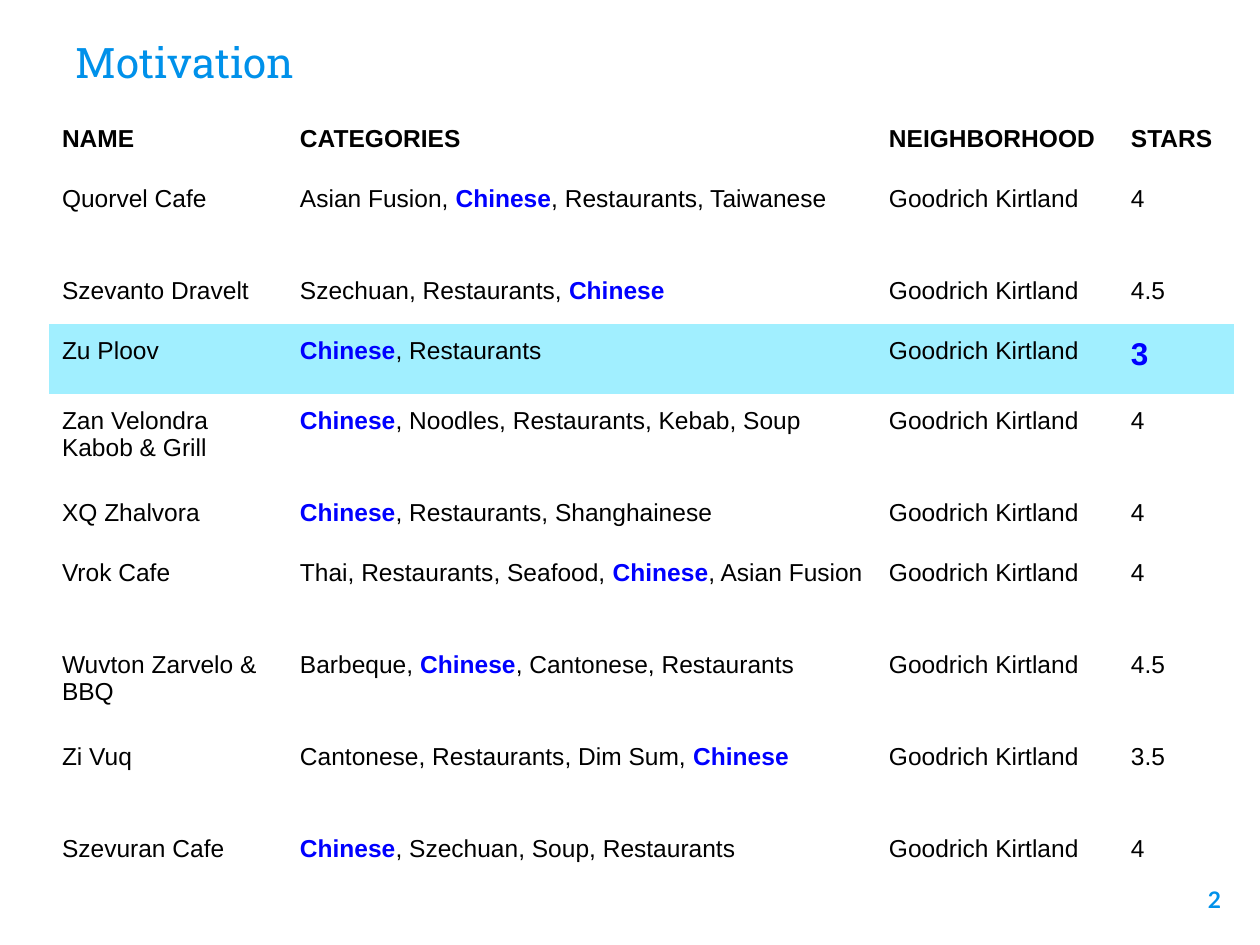
from dataclasses import dataclass

from pptx import Presentation
from pptx.dml.color import RGBColor
from pptx.enum.text import MSO_ANCHOR, MSO_AUTO_SIZE, PP_ALIGN
from pptx.oxml.ns import qn
from pptx.util import Emu, Pt

LEFT, RIGHT = PP_ALIGN.LEFT, PP_ALIGN.RIGHT
TOP, BOTTOM = MSO_ANCHOR.TOP, MSO_ANCHOR.BOTTOM
NO_FIT = MSO_AUTO_SIZE.NONE
TITLE_ONLY = 5
NO_STYLE_NO_GRID = "{2D5ABB26-0587-4C30-8999-92F81FD0307C}"
PX_PER_INCH = 126


@dataclass(frozen=True)
class Theme:
    accent: str = "0091EA"
    ink: str = "000000"
    keyword: str = "0000FF"
    highlight: str = "A1EFFF"
    title_font: str = "Roboto Slab"
    table_font: str = "Arial"
    number_font: str = "Lato"
    title_size: int = 24
    table_size: int = 14
    star_size: int = 18
    number_size: int = 13


def px(n):
    return Emu(round(n * 914400 / PX_PER_INCH))


def add_run(p, text, *, font, size, color, bold=False):
    r = p.add_run()
    r.text = text
    r.font.name = font
    r.font.size = Pt(size)
    r.font.bold = bold
    r.font.color.rgb = RGBColor.from_string(color)


class SlideBuilder:
    def __init__(self, slide, theme):
        self.slide = slide
        self.theme = theme

    def _frame(self, sp, box, anchor, align):
        sp.left, sp.top, sp.width, sp.height = map(px, box)
        tf = sp.text_frame
        tf.word_wrap = True
        tf.auto_size = NO_FIT
        tf.vertical_anchor = anchor
        tf.margin_left = tf.margin_right = px(13)
        tf.margin_top = tf.margin_bottom = px(13)
        p = tf.paragraphs[0]
        p.alignment = align
        return p

    def title(self, text, box):
        t = self.theme
        p = self._frame(self.slide.shapes.title, box, BOTTOM, LEFT)
        add_run(p, text, font=t.title_font, size=t.title_size, color=t.accent)

    def page_number(self, text, box):
        t = self.theme
        sp = self.slide.shapes.add_textbox(*map(px, box))
        p = self._frame(sp, box, TOP, RIGHT)
        add_run(p, text, font=t.number_font, size=t.number_size,
                color=t.accent, bold=True)

    def table(self, rows, left, top, widths, heights, keyword, marked):
        t = self.theme
        frame = self.slide.shapes.add_table(
            len(rows), len(widths), px(left), px(top),
            px(sum(widths)), px(sum(heights)))
        table = frame.table
        table.horz_banding = False
        style = table._tbl.tblPr.find(qn("a:tableStyleId"))
        style.text = NO_STYLE_NO_GRID
        for column, width in zip(table.columns, widths):
            column.width = px(width)
        for i, (values, height) in enumerate(zip(rows, heights)):
            table.rows[i].height = px(height)
            for j, value in enumerate(values):
                cell = table.cell(i, j)
                self._fill_cell(cell, i == marked)
                p = cell.text_frame.paragraphs[0]
                if i == marked and j == len(values) - 1:
                    add_run(p, value, font=t.table_font, size=t.star_size,
                            color=t.keyword, bold=True)
                elif j == 1:
                    self._keyword_text(p, value, keyword, bold=i == 0)
                else:
                    add_run(p, value, font=t.table_font, size=t.table_size,
                            color=t.ink, bold=i == 0)

    def _fill_cell(self, cell, marked):
        cell.margin_left = cell.margin_right = px(13)
        cell.margin_top = cell.margin_bottom = px(13)
        if marked:
            cell.fill.solid()
            cell.fill.fore_color.rgb = RGBColor.from_string(self.theme.highlight)
        else:
            cell.fill.background()

    def _keyword_text(self, p, text, keyword, bold):
        t = self.theme
        for part in text.partition(keyword):
            hit = part == keyword
            if part:
                add_run(p, part, font=t.table_font, size=t.table_size,
                        color=t.keyword if hit else t.ink, bold=hit or bold)


HEADER = ("NAME", "CATEGORIES", "NEIGHBORHOOD", "STARS")
NEIGHBORHOOD = "Goodrich Kirtland"
# Name, categories, stars, row height in px
RESTAURANTS = [
    ("Quorvel Cafe", "Asian Fusion, Chinese, Restaurants, Taiwanese", "4", 92),
    ("Szevanto Dravelt", "Szechuan, Restaurants, Chinese", "4.5", 60),
    ("Zu Ploov", "Chinese, Restaurants", "3", 70),
    ("Zan Velondra Kabob & Grill",
     "Chinese, Noodles, Restaurants, Kebab, Soup", "4", 92),
    ("XQ Zhalvora", "Chinese, Restaurants, Shanghainese", "4", 60),
    ("Vrok Cafe", "Thai, Restaurants, Seafood, Chinese, Asian Fusion", "4", 92),
    ("Wuvton Zarvelo & BBQ",
     "Barbeque, Chinese, Cantonese, Restaurants", "4.5", 92),
    ("Zi Vuq", "Cantonese, Restaurants, Dim Sum, Chinese", "3.5", 92),
    ("Szevuran Cafe", "Chinese, Szechuan, Soup, Restaurants", "4", 60),
]


def main():
    prs = Presentation()
    prs.slide_width, prs.slide_height = px(1260), px(945)
    s = SlideBuilder(prs.slides.add_slide(prs.slide_layouts[TITLE_ONLY]), Theme())

    # Title and page number
    s.title("Motivation", (63, 28, 1043, 72))
    s.page_number("2", (1158, 873, 76, 72))

    # Restaurant table, with the lowest rating marked
    rows = [HEADER] + [(name, categories, NEIGHBORHOOD, stars)
                       for name, categories, stars, _ in RESTAURANTS]
    heights = [60] + [height for *_, height in RESTAURANTS]
    s.table(rows, 49, 112, (238, 589, 242, 116), heights,
            keyword="Chinese", marked=3)

    prs.save("out.pptx")


if __name__ == "__main__":
    main()
